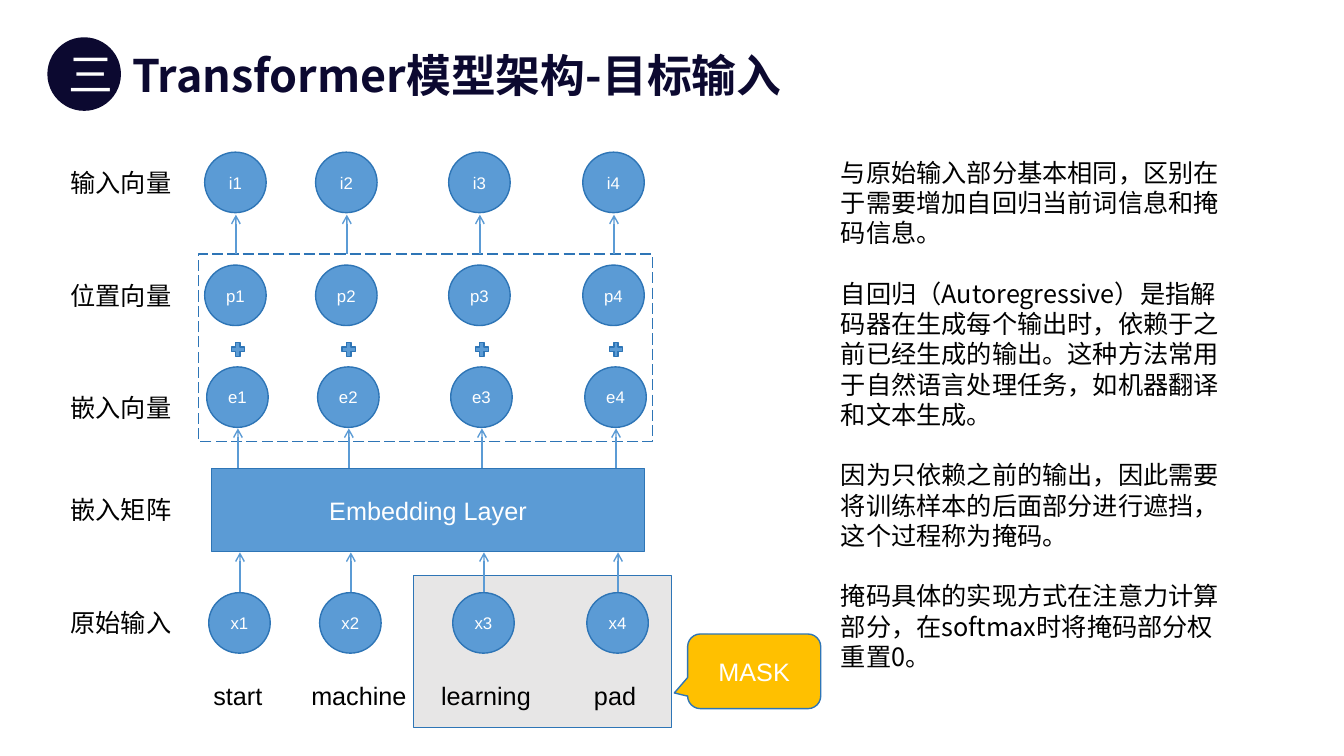
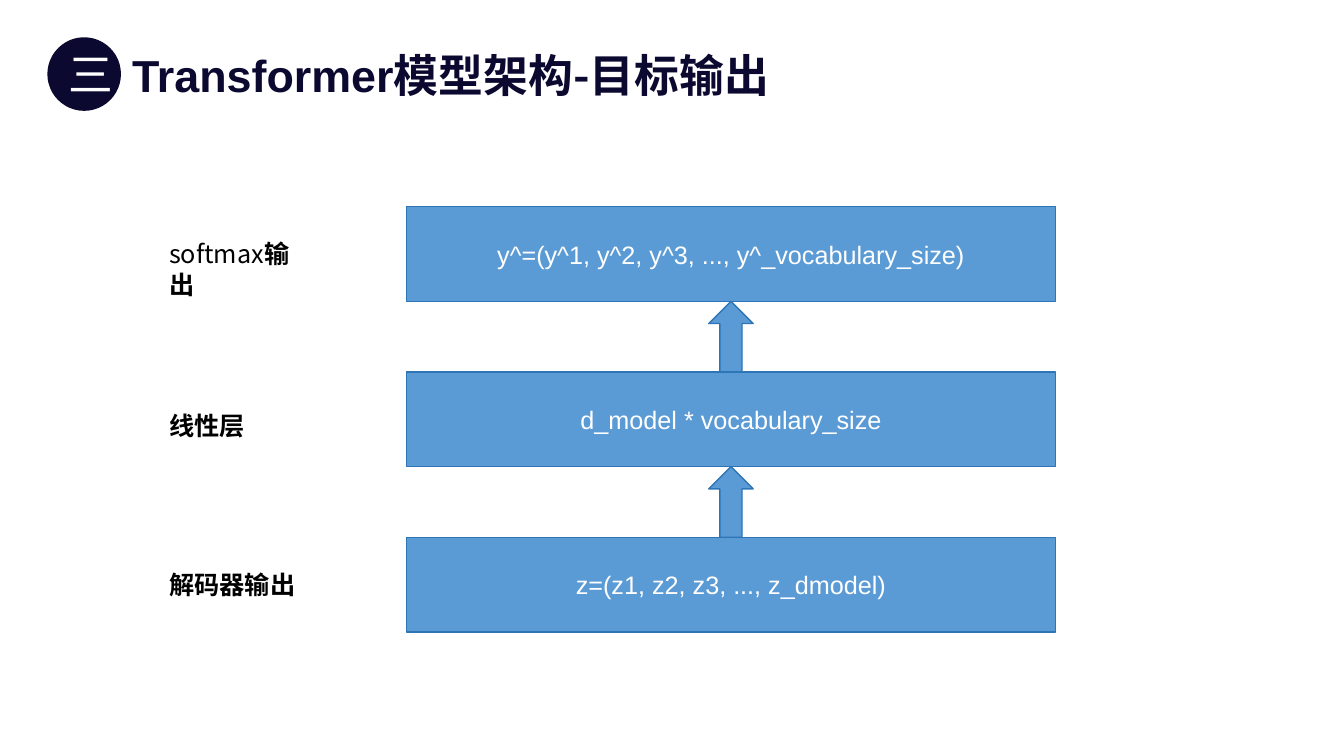
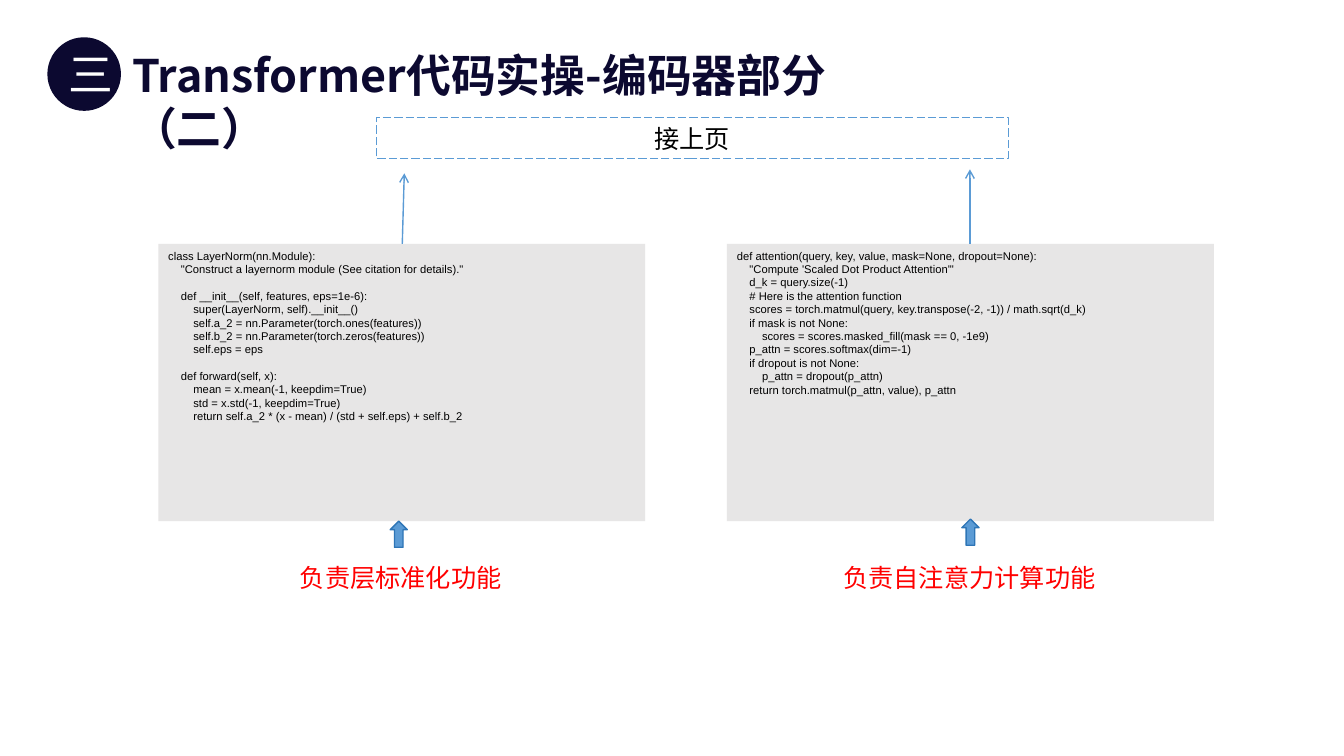
from lxml.etree import SubElement
from pptx import Presentation
from pptx.dml.color import RGBColor
from pptx.enum.dml import MSO_LINE
from pptx.enum.shapes import MSO_CONNECTOR, MSO_SHAPE
from pptx.enum.text import MSO_ANCHOR, MSO_AUTO_SIZE, PP_ALIGN
from pptx.oxml.ns import qn
from pptx.util import Inches, Pt

NAVY = RGBColor(0x0C, 0x09, 0x30)
BLUE = RGBColor(0x5B, 0x9B, 0xD5)
DARK_BLUE = RGBColor(0x2E, 0x75, 0xB6)
GRAY = RGBColor(0xE7, 0xE6, 0xE6)
AMBER = RGBColor(0xFF, 0xC0, 0x00)
RED = RGBColor(0xFF, 0x00, 0x00)
WHITE = RGBColor(0xFF, 0xFF, 0xFF)
BLACK = RGBColor(0x00, 0x00, 0x00)

LATIN = "Arial"
CHINESE = "Noto Sans CJK SC"

TITLE_AND_BODY = 1
TITLE_ONLY = 5

EXPLANATION = [
    "与原始输入部分基本相同，区别在于需要增加自回归当前词信息和掩码信息。",
    "自回归（Autoregressive）是指解码器在生成每个输出时，依赖于之前已经生成的输出。"
    "这种方法常用于自然语言处理任务，如机器翻译和文本生成。",
    "因为只依赖之前的输出，因此需要将训练样本的后面部分进行遮挡，这个过程称为掩码。",
    "掩码具体的实现方式在注意力计算部分，在softmax时将掩码部分权重置0。",
]

LAYER_NORM_CODE = '''class LayerNorm(nn.Module):
    "Construct a layernorm module (See citation for details)."

    def __init__(self, features, eps=1e-6):
        super(LayerNorm, self).__init__()
        self.a_2 = nn.Parameter(torch.ones(features))
        self.b_2 = nn.Parameter(torch.zeros(features))
        self.eps = eps

    def forward(self, x):
        mean = x.mean(-1, keepdim=True)
        std = x.std(-1, keepdim=True)
        return self.a_2 * (x - mean) / (std + self.eps) + self.b_2'''

ATTENTION_CODE = '''def attention(query, key, value, mask=None, dropout=None):
    "Compute 'Scaled Dot Product Attention'"
    d_k = query.size(-1)
    # Here is the attention function
    scores = torch.matmul(query, key.transpose(-2, -1)) / math.sqrt(d_k)
    if mask is not None:
        scores = scores.masked_fill(mask == 0, -1e9)
    p_attn = scores.softmax(dim=-1)
    if dropout is not None:
        p_attn = dropout(p_attn)
    return torch.matmul(p_attn, value), p_attn'''


class Deck:
    """Holds the presentation, its style and the current slide; lengths are in inches."""

    def __init__(self):
        self.presentation = Presentation()
        self.presentation.slide_width = Inches(13.33)
        self.presentation.slide_height = Inches(7.5)
        self.slide = None

    def add_slide(self, layout, *title_runs):
        """Start a slide with the section badge and a title of (text, font) runs."""
        self.slide = self.presentation.slides.add_slide(
            self.presentation.slide_layouts[layout])
        title = self.slide.shapes.title
        self.place(title, 1.21, 0.42, 7.65, 0.64)
        for text, font in title_runs:
            self.run(title.text_frame.paragraphs[0], text, 32, font, NAVY, bold=True)
        self.shape(MSO_SHAPE.OVAL, 0.47, 0.37, 0.73, 0.73, NAVY, None,
                   "三", 32, CHINESE)

    def place(self, placeholder, left, top, width, height):
        placeholder.left, placeholder.top = Inches(left), Inches(top)
        placeholder.width, placeholder.height = Inches(width), Inches(height)
        frame = placeholder.text_frame
        frame.auto_size = MSO_AUTO_SIZE.NONE
        frame.vertical_anchor = MSO_ANCHOR.TOP
        frame.word_wrap = True
        frame.paragraphs[0].alignment = PP_ALIGN.LEFT

    def run(self, paragraph, text, size, font, color, bold=False):
        run = paragraph.add_run()
        run.text = text
        run.font.size = Pt(size)
        run.font.bold = bold
        run.font.color.rgb = color
        run.font.name = font
        SubElement(run._r.get_or_add_rPr(), qn("a:ea"), typeface=font)

    def body(self, left, top, width, height, texts):
        """Fill the body placeholder with unbulleted paragraphs, one line apart."""
        body = self.slide.placeholders[1]
        self.place(body, left, top, width, height)
        for index, text in enumerate(texts):
            frame = body.text_frame
            paragraph = frame.add_paragraph() if index else frame.paragraphs[0]
            paragraph.space_before = Pt(21.6 if index else 0)
            properties = paragraph._p.get_or_add_pPr()
            properties.set("marL", "0")
            properties.set("indent", "0")
            SubElement(properties, qn("a:buNone"))
            self.run(paragraph, text, 18, CHINESE, BLACK)

    def shape(self, kind, left, top, width, height, fill=BLUE, line=DARK_BLUE,
              text="", size=18, font=LATIN, color=WHITE):
        shape = self.slide.shapes.add_shape(
            kind, Inches(left), Inches(top), Inches(width), Inches(height))
        shape.shadow.inherit = False
        if fill is None:
            shape.fill.background()
        else:
            shape.fill.solid()
            shape.fill.fore_color.rgb = fill
        if line is None:
            shape.line.fill.background()
        else:
            shape.line.color.rgb = line
            shape.line.width = Pt(1)
        if text:
            paragraph = shape.text_frame.paragraphs[0]
            paragraph.alignment = PP_ALIGN.CENTER
            self.run(paragraph, text, size, font, color)
        return shape

    def dashed_box(self, left, top, width, height, line, weight, text=""):
        box = self.shape(MSO_SHAPE.RECTANGLE, left, top, width, height, None, line,
                         text, 18, CHINESE, BLACK)
        box.line.dash_style = MSO_LINE.LONG_DASH
        box.line.width = Pt(weight)

    def label(self, left, top, width, *runs, font=CHINESE, color=BLACK,
              alignment=PP_ALIGN.LEFT):
        """Add a one-paragraph text box of (text, bold) runs."""
        box = self.slide.shapes.add_textbox(
            Inches(left), Inches(top), Inches(width), Inches(0.4))
        box.text_frame.word_wrap = True
        paragraph = box.text_frame.paragraphs[0]
        paragraph.alignment = alignment
        for text, bold in runs:
            self.run(paragraph, text, 18, font, color, bold)

    def arrow(self, start_x, start_y, end_x, end_y):
        connector = self.slide.shapes.add_connector(
            MSO_CONNECTOR.STRAIGHT, Inches(start_x), Inches(start_y),
            Inches(end_x), Inches(end_y))
        connector.line.color.rgb = BLUE
        connector.line.width = Pt(1)
        properties = connector._element.spPr
        SubElement(properties.find(qn("a:ln")), qn("a:tailEnd"), type="arrow")
        SubElement(properties, qn("a:effectLst"))

    def code(self, left, top, width, height, source):
        """Add a code panel; leading spaces become indents, empty lines become gaps."""
        panel = self.shape(MSO_SHAPE.RECTANGLE, left, top, width, height, GRAY, None)
        frame = panel.text_frame
        frame.vertical_anchor = MSO_ANCHOR.TOP
        gap = 0
        for index, line in enumerate(source.split("\n")):
            if not line:
                gap = 9.5
                continue
            paragraph = frame.add_paragraph() if index else frame.paragraphs[0]
            paragraph.alignment = PP_ALIGN.LEFT
            paragraph.space_before = Pt(gap)
            gap = 0
            statement = line.lstrip()
            level = (len(line) - len(statement)) // 4
            margin = Inches(0.125 * level)
            paragraph._p.get_or_add_pPr().set("marL", str(margin))
            self.run(paragraph, statement, 8, LATIN, BLACK)


def target_input(deck):
    deck.add_slide(TITLE_AND_BODY, ("Transformer模型架构-目标输入", CHINESE))
    deck.body(8.24, 1.51, 3.98, 5.38, EXPLANATION)
    deck.shape(MSO_SHAPE.RECTANGLE, 4.1, 5.71, 2.56, 1.51, GRAY)
    deck.dashed_box(1.97, 2.52, 4.5, 1.86, DARK_BLUE, 1)
    deck.shape(MSO_SHAPE.RECTANGLE, 2.1, 4.65, 4.29, 0.82, text="Embedding Layer")

    column_centers = [2.38, 3.48, 4.8, 6.13]
    # name, circle top, shift of the row, start of its arrow
    vector_rows = [("x", 5.88, 0, 5.87), ("e", 3.64, -0.02, 4.64),
                   ("p", 2.63, -0.04, None), ("i", 1.51, -0.04, 2.52)]
    for name, top, shift, arrow_start in vector_rows:
        for number, column in enumerate(column_centers, 1):
            center = column + shift
            deck.shape(MSO_SHAPE.OVAL, center - 0.31, top, 0.61, 0.6,
                       text=f"{name}{number}", size=12)
            if arrow_start:
                deck.arrow(center, arrow_start, center, arrow_start - 0.39)
            if name == "e":
                deck.shape(MSO_SHAPE.MATH_PLUS, center - 0.09, 3.37, 0.18, 0.19)

    row_labels = [("输入向量", 1.61), ("位置向量", 2.73), ("嵌入向量", 3.84),
                  ("嵌入矩阵", 4.86), ("原始输入", 5.98)]
    for text, top in row_labels:
        deck.label(0.6, top, 1.22, (text, False))
    words = [("start", 2.36), ("machine", 3.56), ("learning", 4.82), ("pad", 6.1)]
    for word, center in words:
        deck.label(center - 0.65, 6.7, 1.3, (word, False), font=LATIN,
                   alignment=PP_ALIGN.CENTER)

    callout = deck.shape(MSO_SHAPE.ROUNDED_RECTANGULAR_CALLOUT, 6.82, 6.29, 1.32, 0.74,
                         AMBER, text="MASK")
    for index, value in enumerate([-0.6, 0.29, 0.17]):
        callout.adjustments[index] = value


def target_output(deck):
    deck.add_slide(TITLE_ONLY, ("Transformer", LATIN), ("模型架构-目标输出", CHINESE))
    layers = [
        ("y^=(y^1, y^2, y^3, ..., y^_vocabulary_size)", 2.32,
         [("softmax", False), ("输出", True)]),
        ("d_model * vocabulary_size", 4.02, [("线性层", True)]),
        ("z=(z1, z2, z3, ..., z_dmodel)", 5.6, [("解码器输出", True)]),
    ]
    box_height, gap = 0.94, 0.7
    for index, (formula, label_top, label_runs) in enumerate(layers):
        top = 2.05 + index * (box_height + gap)
        deck.shape(MSO_SHAPE.RECTANGLE, 4.03, top, 6.44, box_height, text=formula)
        deck.label(1.58, label_top, 1.63, *label_runs)
        if index:
            deck.shape(MSO_SHAPE.UP_ARROW, 7.03, top - gap, 0.44, gap)


def encoder_code(deck):
    deck.add_slide(TITLE_ONLY, ("Transformer代码实操-编码器部分（二）", CHINESE))
    deck.dashed_box(3.73, 1.17, 6.27, 0.4, BLUE, 0.75, "接上页")
    # panel left, code, caption, arrow start x, arrow end, block arrow position
    panels = [
        (1.57, LAYER_NORM_CODE, "负责层标准化功能", 3.99, (4.01, 1.72), (3.87, 5.17)),
        (7.21, ATTENTION_CODE, "负责自注意力计算功能", 9.62, (9.62, 1.68), (9.54, 5.15)),
    ]
    for left, source, caption, arrow_x, arrow_end, block_arrow in panels:
        deck.code(left, 2.42, 4.83, 2.75, source)
        deck.arrow(arrow_x, 2.42, *arrow_end)
        deck.shape(MSO_SHAPE.UP_ARROW, *block_arrow, 0.17, 0.26)
        deck.label(left + 0.87, 5.53, 3.07, (caption, False), color=RED,
                   alignment=PP_ALIGN.CENTER)


def main():
    deck = Deck()
    target_input(deck)
    target_output(deck)
    encoder_code(deck)
    deck.presentation.save("out.pptx")


if __name__ == "__main__":
    main()
